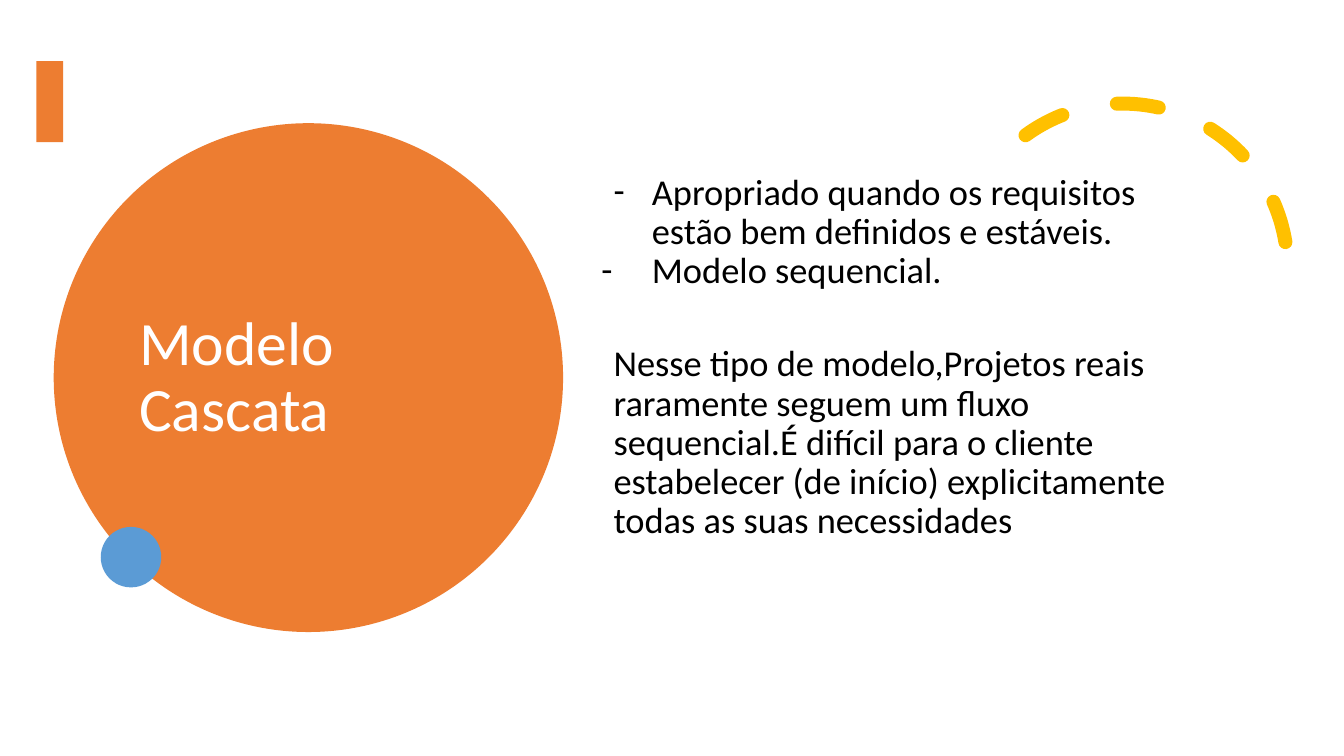
from lxml import etree
from pptx import Presentation
from pptx import util as u
from pptx.dml.color import RGBColor
from pptx.enum import dml, shapes, text
from pptx.oxml import ns

WIDTH, HEIGHT = 13.33, 7.5
ORANGE, BLUE, GOLD, WHITE, BLACK = "ED7D31", "5B9BD5", "FFC000", "FFFFFF", "000000"
FONT = "Calibri"
BODY = [
    ("Apropriado quando os requisitos estão bem definidos e estáveis.", 0.5, -0.38, 10, "-"),
    ("Modelo sequencial.", 0.5, -0.5, 0, "-"),
    ("Nesse tipo de modelo,Projetos reais raramente seguem um fluxo "
     "sequencial.É difícil para o cliente estabelecer (de início) "
     "explicitamente todas as suas necessidades", 0.12, 0, 38.5, None),
]


def color(value):
    return RGBColor.from_string(value)


def apply(target, values):
    for name, value in values.items():
        setattr(target, name, value)


def box(left, top, width, height):
    return {
        "left": u.Inches(WIDTH * left), "top": u.Inches(HEIGHT * top),
        "width": u.Inches(WIDTH * width), "height": u.Inches(HEIGHT * height),
    }


def add_filled(slide, kind, place, fill):
    shape = slide.shapes.add_shape(kind, **place)
    shape.shadow.inherit = False
    shape.fill.solid()
    shape.fill.fore_color.rgb = color(fill)
    shape.line.fill.background()
    return shape


def add_dashed_arc(slide, place, angles, rotation):
    shape = slide.shapes.add_shape(shapes.MSO_SHAPE.ARC, **place)
    shape.shadow.inherit = False
    shape.rotation = rotation
    for index, angle in enumerate(angles):
        shape.adjustments[index] = angle
    shape.fill.background()
    shape.line.color.rgb = color(GOLD)
    apply(shape.line, {"width": u.Pt(10), "dash_style": dml.MSO_LINE.DASH})
    shape.line.fill
    shape.element.spPr.find(ns.qn("a:ln")).set("cap", "rnd")


def place_placeholder(placeholder, place, anchor):
    apply(placeholder, place)
    apply(placeholder.text_frame, {
        "word_wrap": True, "auto_size": text.MSO_AUTO_SIZE.NONE, "vertical_anchor": anchor,
        "margin_left": u.Inches(0.1), "margin_right": u.Inches(0.1),
        "margin_top": u.Inches(0.05), "margin_bottom": u.Inches(0.05),
    })


def write_paragraph(paragraph, words, size, ink, before=0):
    apply(paragraph, {
        "alignment": text.PP_ALIGN.LEFT, "line_spacing": 0.9,
        "space_before": u.Pt(before), "space_after": u.Pt(0),
    })
    run = paragraph.add_run()
    run.text = words
    apply(run.font, {"name": FONT, "size": u.Pt(size)})
    run.font.color.rgb = color(ink)


def set_bullet(paragraph, margin, indent, bullet):
    properties = paragraph.runs[0].font and paragraph._p.get_or_add_pPr()
    properties.set("marL", str(u.Inches(margin)))
    properties.set("indent", str(u.Inches(indent)))
    if bullet is None:
        etree.SubElement(properties, ns.qn("a:buNone"))
        return
    bullet_color = etree.SubElement(properties, ns.qn("a:buClr"))
    etree.SubElement(bullet_color, ns.qn("a:srgbClr")).set("val", BLACK)
    etree.SubElement(properties, ns.qn("a:buFont")).set("typeface", FONT)
    etree.SubElement(properties, ns.qn("a:buChar")).set("char", bullet)


def fill_body(frame):
    for index, (words, margin, indent, before, bullet) in enumerate(BODY):
        paragraph = frame.add_paragraph() if index else frame.paragraphs[0]
        write_paragraph(paragraph, words, 26, BLACK, before)
        set_bullet(paragraph, margin, indent, bullet)


def main():
    presentation = Presentation()
    apply(presentation, {"slide_width": u.Inches(WIDTH), "slide_height": u.Inches(HEIGHT)})
    slide = presentation.slides.add_slide(presentation.slide_layouts[1])
    title, body = slide.shapes.title, slide.placeholders[1]

    oval = shapes.MSO_SHAPE.OVAL
    circle = add_filled(slide, oval, box(0.04, 0.163, 0.379, 0.673), ORANGE)
    title.element.addprevious(circle.element)
    place_placeholder(title, box(0.096, 0.204, 0.266, 0.593), text.MSO_ANCHOR.MIDDLE)
    write_paragraph(title.text_frame.paragraphs[0], "Modelo Cascata", 44, WHITE)

    add_dashed_arc(slide, box(0.713, 0.137, 0.245, 0.436), (158.174, 17.814), 330.2)
    add_filled(slide, oval, box(0.075, 0.697, 0.045, 0.08), BLUE)
    place_placeholder(body, box(0.44, 0.223, 0.454, 0.573), text.MSO_ANCHOR.TOP)
    fill_body(body.text_frame)
    add_filled(slide, shapes.MSO_SHAPE.RECTANGLE, box(0.027, 0.081, 0.02, 0.107), ORANGE)
    presentation.save("out.pptx")


if __name__ == "__main__":
    main()
